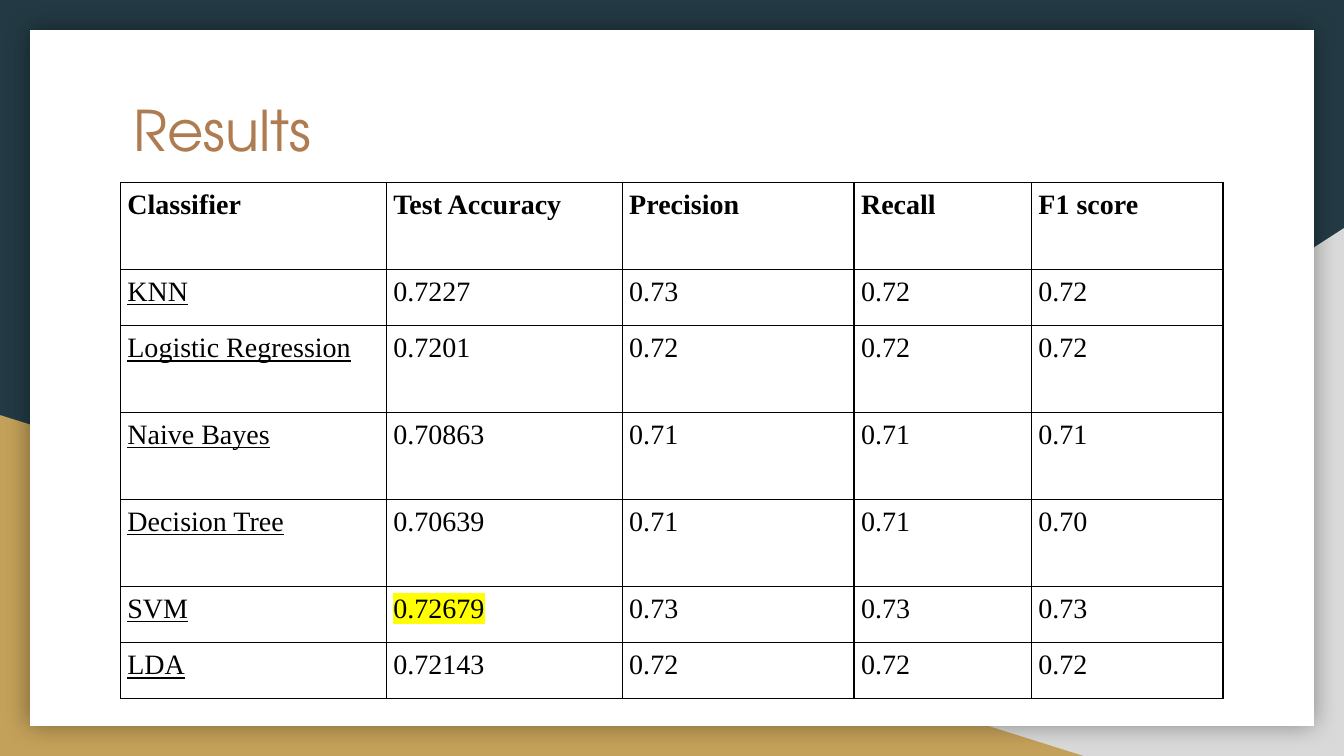
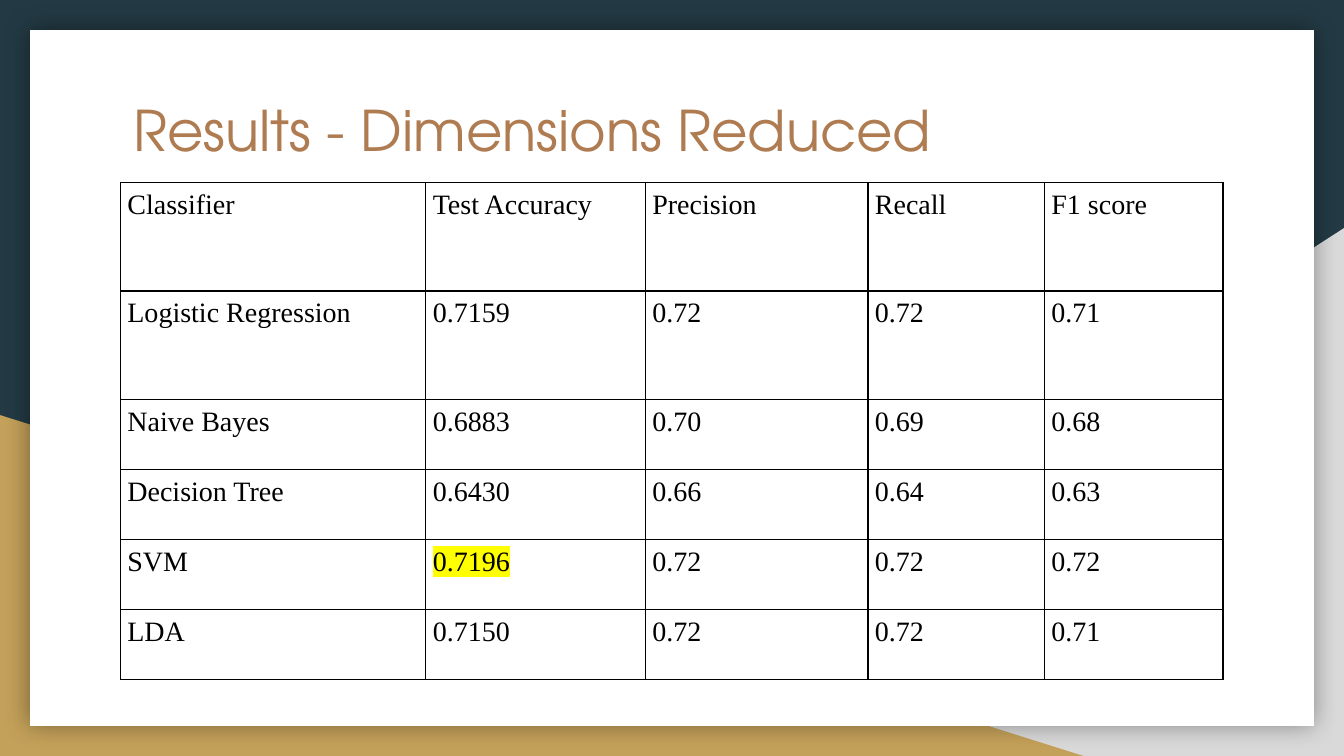
from lxml import etree
from pptx import Presentation
from pptx.dml.color import RGBColor
from pptx.enum.shapes import MSO_SHAPE
from pptx.enum.text import MSO_ANCHOR
from pptx.oxml.ns import qn
from pptx.util import Pt

RECTANGLE = MSO_SHAPE.RECTANGLE
TRIANGLE = MSO_SHAPE.RIGHT_TRIANGLE
TOP = MSO_ANCHOR.TOP

NAVY = RGBColor(0x23, 0x3A, 0x44)
GREY = RGBColor(0xD9, 0xD9, 0xD9)
GOLD = RGBColor(0xC4, 0xA1, 0x5A)
WHITE = RGBColor(0xFF, 0xFF, 0xFF)
BROWN = RGBColor(0xAF, 0x7B, 0x51)
BLACK = RGBColor(0x00, 0x00, 0x00)
YELLOW = RGBColor(0xFF, 0xFF, 0x00)

TITLE_FONT = "TeX Gyre Adventor"
TABLE_FONT = "Times New Roman"

WIDTH, HEIGHT = 960, 540
LEFT, CONTENT_WIDTH = 86, 787.6
TITLE_TOP, TITLE_HEIGHT, TITLE_INSET = 59, 72, 9.2
TABLE_TOP, CELL_INSET = 130.3, 5
CARD_MARGIN = 21.5

HEADINGS = ("Classifier", "Test Accuracy", "Precision", "Recall", "F1 score")

RESULTS = [
    {
        "title": "Results",
        "emphasis": True,
        "best": "0.72679",
        "columns": (190, 168.5, 165.6, 126.7, 136.8),
        "heights": (62.1, 40.2, 62.1, 62.1, 62.1, 40.2, 40.2),
        "rows": [
            ("KNN", "0.7227", "0.73", "0.72", "0.72"),
            ("Logistic Regression", "0.7201", "0.72", "0.72", "0.72"),
            ("Naive Bayes", "0.70863", "0.71", "0.71", "0.71"),
            ("Decision Tree", "0.70639", "0.71", "0.71", "0.70"),
            ("SVM", "0.72679", "0.73", "0.73", "0.73"),
            ("LDA", "0.72143", "0.72", "0.72", "0.72"),
        ],
    },
    {
        "title": "Results - Dimensions Reduced",
        "emphasis": False,
        "best": "0.7196",
        "columns": (218.2, 156.8, 159, 126, 127.6),
        "heights": (77.5, 77.5, 50, 50, 50, 50),
        "rows": [
            ("Logistic Regression", "0.7159", "0.72", "0.72", "0.71"),
            ("Naive Bayes", "0.6883", "0.70", "0.69", "0.68"),
            ("Decision Tree", "0.6430", "0.66", "0.64", "0.63"),
            ("SVM", "0.7196", "0.72", "0.72", "0.72"),
            ("LDA", "0.7150", "0.72", "0.72", "0.71"),
        ],
    },
]


def add_colour(parent, colour):
    return etree.SubElement(parent, qn("a:srgbClr"), val=str(colour))


def add_block(page, preset, left, top, width, height, colour):
    block = page.shapes.add_shape(preset, Pt(left), Pt(top), Pt(width), Pt(height))
    block.fill.solid()
    block.fill.fore_color.rgb = colour
    block.line.fill.background()
    block.shadow.inherit = False
    return block


def add_frame(page):
    right_corner = add_block(page, TRIANGLE, WIDTH - 584, 163, 584, HEIGHT - 163, GREY)
    right_corner.element.spPr.find(qn("a:xfrm")).set("flipH", "1")
    add_block(page, TRIANGLE, 0, 296.5, 774, HEIGHT - 296.5, GOLD)
    card = add_block(page, RECTANGLE, CARD_MARGIN, CARD_MARGIN,
                     WIDTH - 2 * CARD_MARGIN, HEIGHT - 2 * CARD_MARGIN, WHITE)
    effects = card.element.spPr.find(qn("a:effectLst"))
    shadow = etree.SubElement(effects, qn("a:outerShdw"), blurRad=str(Pt(18)),
                              dist="0", dir="0", algn="ctr", rotWithShape="0")
    etree.SubElement(add_colour(shadow, BLACK), qn("a:alpha"), val="40000")


def style_font(font, name, size, colour):
    font.name = name
    font.size = Pt(size)
    font.color.rgb = colour


def set_insets(target, inset):
    target.margin_left = target.margin_right = Pt(inset)
    target.margin_top = target.margin_bottom = Pt(inset)


def add_title(page, text):
    box = page.shapes.add_textbox(Pt(LEFT), Pt(TITLE_TOP), Pt(CONTENT_WIDTH), Pt(TITLE_HEIGHT))
    frame = box.text_frame
    frame.word_wrap = True
    frame.vertical_anchor = TOP
    set_insets(frame, TITLE_INSET)
    para = frame.paragraphs[0]
    para.text = text
    style_font(para.font, TITLE_FONT, 40, BROWN)


def add_borders(cell):
    properties = cell._tc.get_or_add_tcPr()
    for side in ("L", "R", "T", "B"):
        line = etree.SubElement(properties, qn(f"a:ln{side}"), w=str(Pt(1)))
        add_colour(etree.SubElement(line, qn("a:solidFill")), BLACK)


def highlight(span):
    add_colour(etree.SubElement(span._r.get_or_add_rPr(), qn("a:highlight")), YELLOW)


def fill_cell(cell, text, bold, underline, best):
    add_borders(cell)
    cell.fill.background()
    set_insets(cell, CELL_INSET)
    para = cell.text_frame.paragraphs[0]
    span = para.add_run()
    span.text = text
    style_font(para.font, TABLE_FONT, 20, BLACK)
    para.font.bold = bold
    para.font.underline = underline
    if best:
        highlight(span)


def add_results(page, result):
    rows = [HEADINGS] + result["rows"]
    table = page.shapes.add_table(
        len(rows), len(HEADINGS), Pt(LEFT), Pt(TABLE_TOP),
        Pt(sum(result["columns"])), Pt(sum(result["heights"]))).table
    table.horz_banding = False
    for column, width in zip(table.columns, result["columns"]):
        column.width = Pt(width)
    for row, height in zip(table.rows, result["heights"]):
        row.height = Pt(height)
    for row_index, values in enumerate(rows):
        heading = row_index == 0
        for column_index, text in enumerate(values):
            fill_cell(
                table.cell(row_index, column_index), text,
                bold=result["emphasis"] and heading,
                underline=result["emphasis"] and not heading and column_index == 0,
                best=text == result["best"])


def main():
    deck = Presentation()
    deck.slide_width, deck.slide_height = Pt(WIDTH), Pt(HEIGHT)
    background = deck.slide_master.background.fill
    background.solid()
    background.fore_color.rgb = NAVY
    for result in RESULTS:
        page = deck.slides.add_slide(deck.slide_layouts[6])
        add_frame(page)
        add_title(page, result["title"])
        add_results(page, result)
    deck.save("out.pptx")


if __name__ == "__main__":
    main()
